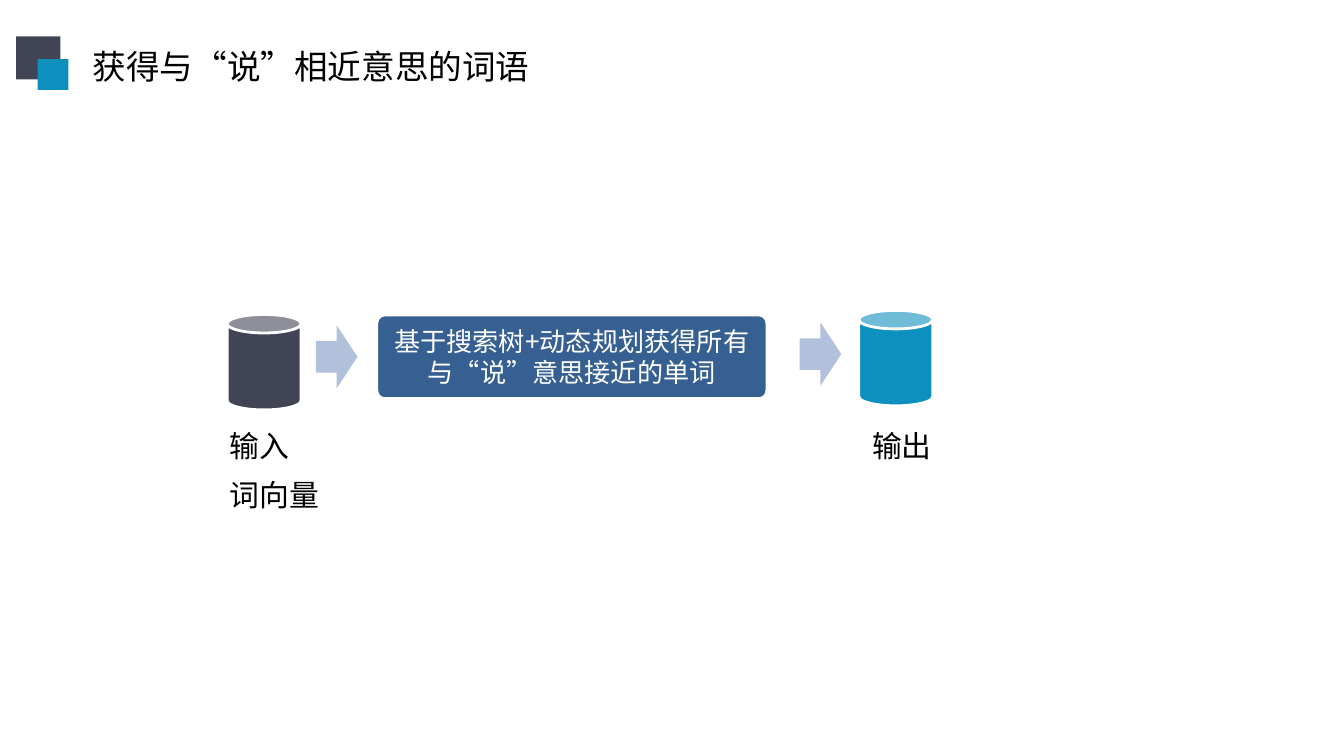
from dataclasses import dataclass

from lxml import etree
from pptx import Presentation
from pptx.dml.color import RGBColor
from pptx.enum.shapes import MSO_SHAPE
from pptx.enum.text import MSO_ANCHOR, MSO_AUTO_SIZE, PP_ALIGN
from pptx.oxml.ns import qn
from pptx.util import Inches, Pt

RECTANGLE, ROUNDED = MSO_SHAPE.RECTANGLE, MSO_SHAPE.ROUNDED_RECTANGLE
CAN, ARROW = MSO_SHAPE.CAN, MSO_SHAPE.RIGHT_ARROW
TOP, MIDDLE = MSO_ANCHOR.TOP, MSO_ANCHOR.MIDDLE
LEFT, CENTER = PP_ALIGN.LEFT, PP_ALIGN.CENTER
GROW, FIXED = MSO_AUTO_SIZE.SHAPE_TO_FIT_TEXT, MSO_AUTO_SIZE.NONE
TITLE_ONLY_LAYOUT = 5


@dataclass(frozen=True)
class Theme:
    font: str = "Noto Sans CJK SC"
    title_size: int = 18
    label_size: int = 16
    process_size: int = 14
    dark: str = "414455"
    accent: str = "0E90BE"
    process: str = "376092"
    arrow: str = "B2C1DB"
    text: str = "000000"
    white: str = "FFFFFF"


THEME = Theme()

# Content: boxes are left, top, width, height in inches
TITLE = ("获得与“说”相近意思的词语", (0.59, 0.29, 3.48, 0.4))
TITLE_SQUARES = [
    ((0.12, 0.27, 0.33, 0.32), THEME.dark),
    ((0.28, 0.44, 0.23, 0.23), THEME.accent),
]
PROCESS = ("基于搜索树+动态规划获得所有与“说”意思接近的单词", (2.8, 2.34, 2.91, 0.63))
CAN_SIZE = (0.55, 0.71)
STORES = [((1.69, 2.34), THEME.dark), ((6.39, 2.31), THEME.accent)]
ARROW_SIZE = (0.31, 0.47)
ARROWS = [(2.35, 2.42), (5.95, 2.4)]
LABEL_TOP, LABEL_HEIGHT = 3.13, 0.37
LABEL_COLUMNS = [  # left, (text, width) from top to bottom
    (1.61, [("输入", 0.78), ("词向量", 0.94)]),
    (6.39, [("输出", 0.83)]),
]


def add_block(shapes, kind, box, fill, line_width=None):
    shape = shapes.add_shape(kind, *map(Inches, box))
    shape.shadow.inherit = False
    shape.fill.solid()
    shape.fill.fore_color.rgb = RGBColor.from_string(fill)
    if line_width is None:
        shape.line.fill.background()
    else:
        shape.line.color.rgb = RGBColor.from_string(THEME.white)
        shape.line.width = Pt(line_width)
    return shape


def write_text(shape, text, size, color, align=LEFT, anchor=TOP, wrap=True, fit=GROW):
    frame = shape.text_frame
    frame.word_wrap = wrap
    frame.auto_size = fit
    frame.vertical_anchor = anchor
    paragraph = frame.paragraphs[0]
    paragraph.alignment = align
    paragraph.space_before = Pt(0)
    run = paragraph.add_run()
    run.text = text
    run.font.size = Pt(size)
    run.font.name = THEME.font
    run.font.color.rgb = RGBColor.from_string(color)
    # Chinese characters take the East Asian typeface
    east_asian = etree.SubElement(run.font._element, qn("a:ea"))
    east_asian.set("typeface", THEME.font)


def place(shape, box):
    shape.left, shape.top, shape.width, shape.height = map(Inches, box)


def main():
    presentation = Presentation()
    presentation.slide_width = Inches(10)
    presentation.slide_height = presentation.slide_width * 9 // 16
    slide = presentation.slides.add_slide(presentation.slide_layouts[TITLE_ONLY_LAYOUT])
    shapes = slide.shapes

    # Title and its squares
    title_text, title_box = TITLE
    place(shapes.title, title_box)
    write_text(shapes.title, title_text, THEME.title_size, THEME.text, wrap=False)
    squares = shapes.add_group_shape()
    for box, color in TITLE_SQUARES:
        add_block(squares.shapes, RECTANGLE, box, color)

    # Process step
    process_text, process_box = PROCESS
    step = add_block(shapes, ROUNDED, process_box, THEME.process, 2)
    step.adjustments[0] = 0.1
    frame = step.text_frame
    frame.margin_left = frame.margin_right = Inches(0.06)
    frame.margin_top = frame.margin_bottom = Inches(0.06)
    write_text(step, process_text, THEME.process_size, THEME.white, CENTER, MIDDLE, fit=FIXED)

    # Input and output stores, with the arrows between
    for corner, color in STORES:
        add_block(shapes, CAN, corner + CAN_SIZE, color, 1.5)
    for corner in ARROWS:
        add_block(shapes, ARROW, corner + ARROW_SIZE, THEME.arrow)

    # Labels under the stores
    for left, labels in LABEL_COLUMNS:
        for row, (text, width) in enumerate(labels):
            top = LABEL_TOP + row * LABEL_HEIGHT
            label = shapes.add_textbox(*map(Inches, (left, top, width, LABEL_HEIGHT)))
            write_text(label, text, THEME.label_size, THEME.text)

    presentation.save("out.pptx")


if __name__ == "__main__":
    main()
